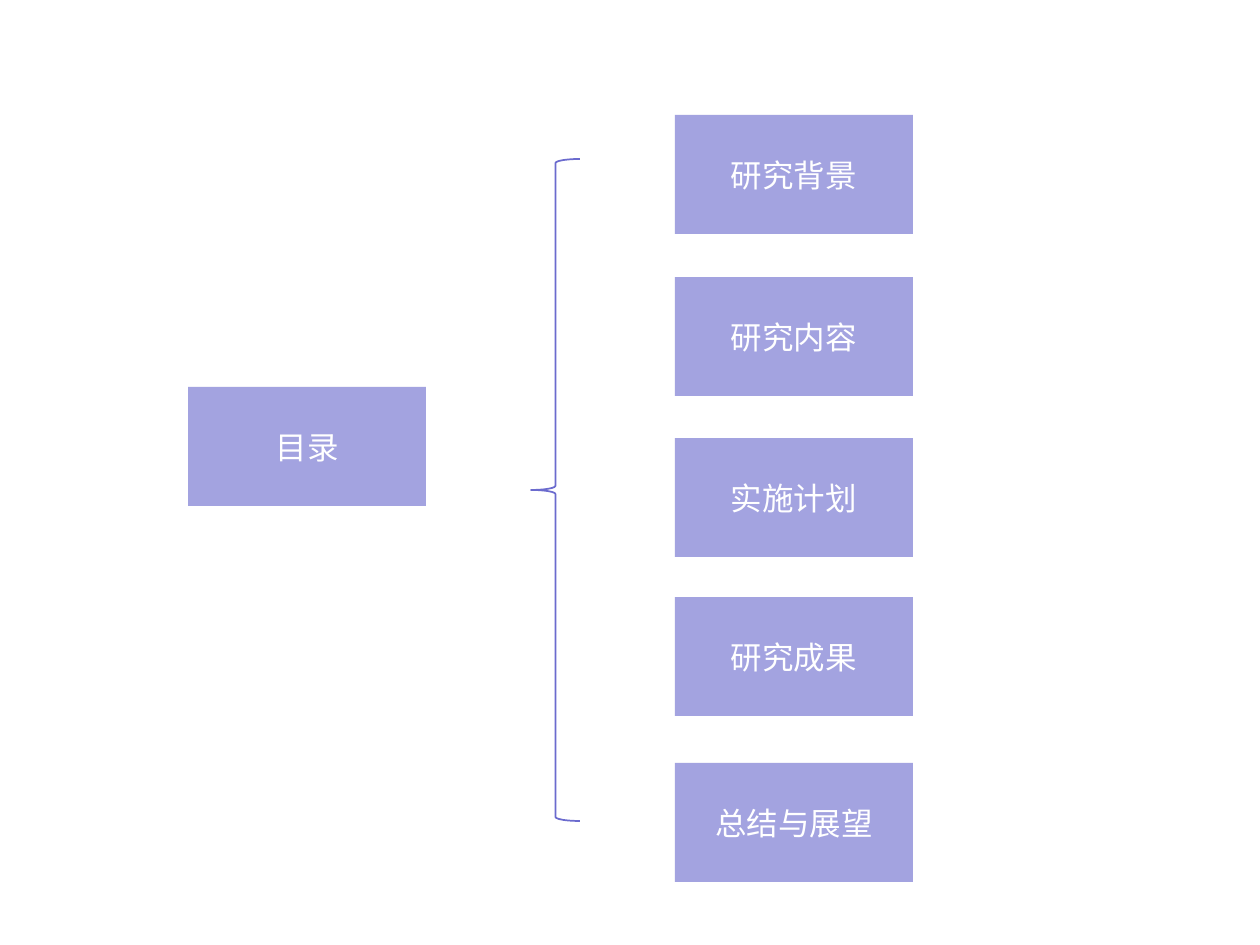
import pptx
import pptx.dml.color
import pptx.enum.shapes
import pptx.enum.text
import pptx.oxml
import pptx.oxml.ns
import pptx.util
from dataclasses import dataclass

HEADING = ("目录", 387)
CHAPTERS = [  # label, top in px
    ("研究背景", 115),
    ("研究内容", 277),
    ("实施计划", 438),
    ("研究成果", 597),
    ("总结与展望", 763),
]

SLIDE_SIZE = (1260, 945)
BOX_SIZE = (238, 119)
HEADING_LEFT, CHAPTER_LEFT = 188, 675
BRACE = (531, 159, 49, 662)


@dataclass(frozen=True)
class Theme:
    violet: pptx.dml.color.RGBColor = pptx.dml.color.RGBColor(0x6B, 0x6B, 0xCE)
    white: pptx.dml.color.RGBColor = pptx.dml.color.RGBColor(0xFF, 0xFF, 0xFF)
    box_opacity: int = 62
    font: str = "Arial"
    label_size: int = 18
    brace_line: int = 1


THEME = Theme()
FRAME_FORMAT = {
    "auto_size": pptx.enum.text.MSO_AUTO_SIZE.NONE,
    "word_wrap": True,
    "vertical_anchor": pptx.enum.text.MSO_ANCHOR.MIDDLE,
    "margin_left": pptx.util.Inches(0.1),
    "margin_right": pptx.util.Inches(0.1),
    "margin_top": pptx.util.Inches(0.05),
    "margin_bottom": pptx.util.Inches(0.05),
}
FONT_FORMAT = {
    "name": THEME.font,
    "size": pptx.util.Pt(THEME.label_size),
    "bold": False,
}


def px(length):
    return pptx.util.Emu(round(length * pptx.util.Inches(1) / 126))


def apply_format(target, values):
    for name, value in values.items():
        setattr(target, name, value)


def format_box(box, label, left, top):
    """Place a box and give it the translucent fill and centred label."""
    width, height = BOX_SIZE
    apply_format(box, {"left": px(left), "top": px(top),
                       "width": px(width), "height": px(height)})
    box.fill.solid()
    box.fill.fore_color.rgb = THEME.violet
    color = box.fill._xPr.find(".//" + pptx.oxml.ns.qn("a:srgbClr"))
    alpha = pptx.oxml.parse_xml(
        f'<a:alpha {pptx.oxml.ns.nsdecls("a")} val="{THEME.box_opacity * 1000}"/>')
    color.append(alpha)
    box.line.fill.background()

    apply_format(box.text_frame, FRAME_FORMAT)
    paragraph = box.text_frame.paragraphs[0]
    paragraph.alignment = pptx.enum.text.PP_ALIGN.CENTER
    run = paragraph.add_run()
    run.text = label
    apply_format(run.font, FONT_FORMAT)
    run.font.color.rgb = THEME.white


def add_preset(slide, preset, *place):
    shape = slide.shapes.add_shape(preset, *map(px, place))
    shape.shadow.inherit = False
    return shape


def main():
    presets = pptx.enum.shapes.MSO_SHAPE
    deck = pptx.Presentation()
    deck.slide_width, deck.slide_height = map(px, SLIDE_SIZE)
    slide = deck.slides.add_slide(deck.slide_layouts.get_by_name("Title Only"))

    label, top = HEADING
    format_box(slide.shapes.title, label, HEADING_LEFT, top)

    brace = add_preset(slide, presets.LEFT_BRACE, *BRACE)
    brace.fill.background()
    brace.line.color.rgb = THEME.violet
    brace.line.width = pptx.util.Pt(THEME.brace_line)

    for label, top in CHAPTERS:
        chapter = add_preset(slide, presets.RECTANGLE, CHAPTER_LEFT, top, *BOX_SIZE)
        format_box(chapter, label, CHAPTER_LEFT, top)

    deck.save("out.pptx")


if __name__ == "__main__":
    main()
